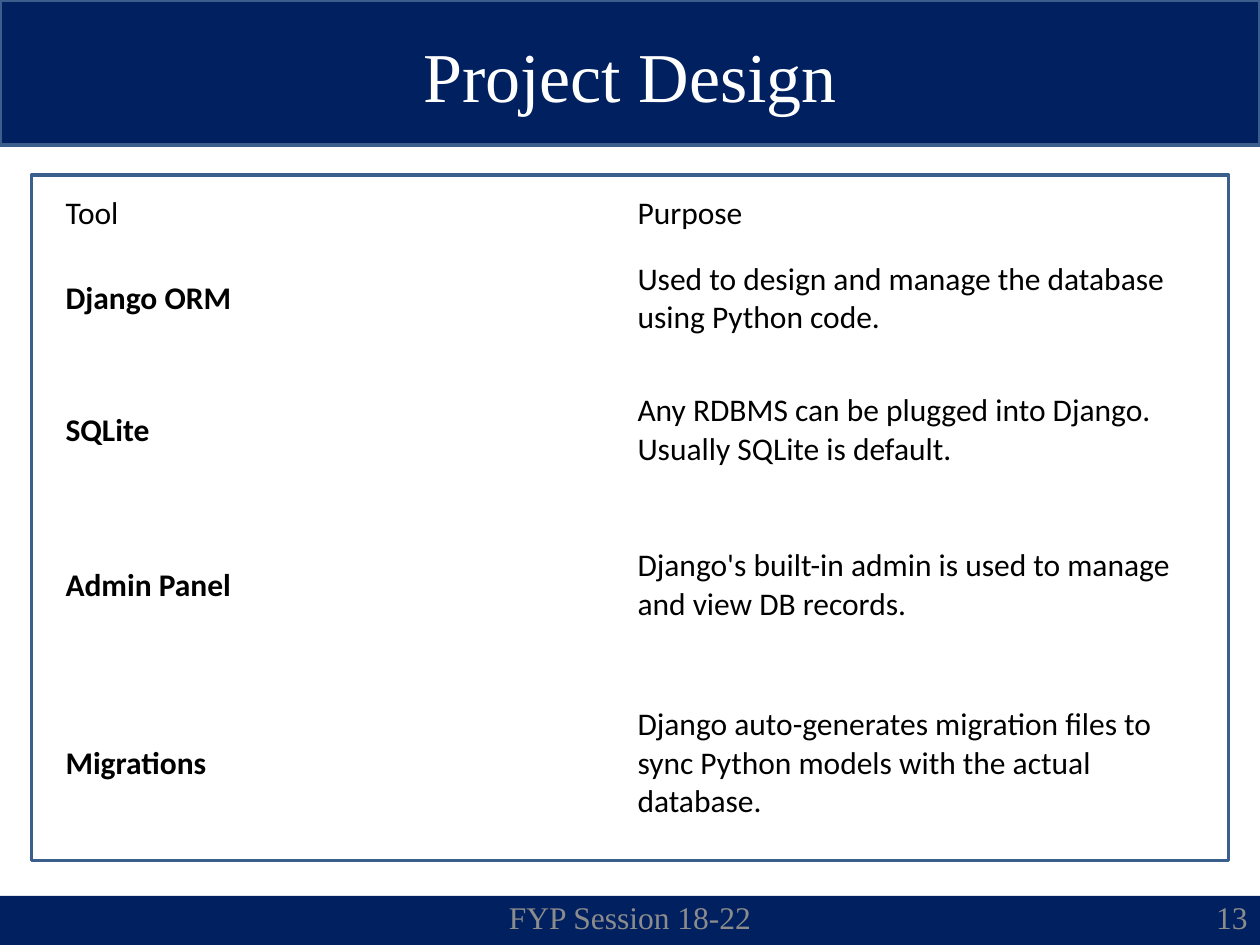
from pptx import Presentation
from pptx.dml.color import RGBColor
from pptx.enum.shapes import MSO_SHAPE
from pptx.enum.text import MSO_ANCHOR, PP_ALIGN
from pptx.util import Inches, Pt

NAVY = RGBColor(0x00, 0x20, 0x60)
STEEL = RGBColor(0x3A, 0x5F, 0x8C)
GRAY = RGBColor(0x8C, 0x8C, 0x8C)
WHITE = RGBColor(0xFF, 0xFF, 0xFF)
BLACK = RGBColor(0x00, 0x00, 0x00)

SERIF = "Times New Roman"
SANS = "Calibri"

TOOLS = [
    ("Tool", "Purpose"),
    ("Django ORM", "Used to design and manage the database using Python code."),
    ("SQLite", "Any RDBMS can be plugged into Django. Usually SQLite is default."),
    ("Admin Panel", "Django's built-in admin is used to manage and view DB records."),
    ("Migrations", "Django auto-generates migration files to sync Python models "
                   "with the actual database."),
]
ROW_HEIGHTS = [0.49, 0.86, 1.23, 1.23, 1.6]
COLUMN_WIDTH = 4.54


def style_paragraph(paragraph, name, size, color, align=PP_ALIGN.LEFT, bold=False):
    paragraph.alignment = align
    font = paragraph.font
    font.name, font.size, font.bold = name, Pt(size), bold
    font.color.rgb = color


def add_rectangle(slide, left, top, width, height, fill=None, line=None):
    shape = slide.shapes.add_shape(
        MSO_SHAPE.RECTANGLE, Inches(left), Inches(top), Inches(width), Inches(height))
    shape.shadow.inherit = False
    if fill is None:
        shape.fill.background()
    else:
        shape.fill.solid()
        shape.fill.fore_color.rgb = fill
    if line is None:
        shape.line.fill.background()
    else:
        shape.line.color.rgb = line
        shape.line.width = Pt(2)


def set_title(slide, text):
    title = slide.shapes.title
    title.left, title.top = Inches(0.69), Inches(0.02)
    title.width, title.height = Inches(8.62), Inches(1.15)
    title.text_frame.text = text
    title.text_frame.vertical_anchor = MSO_ANCHOR.MIDDLE
    style_paragraph(title.text_frame.paragraphs[0], SERIF, 40, WHITE, PP_ALIGN.CENTER)
    # Bring the title in front of the header bar
    title.element.getparent().append(title.element)


def add_footer_text(slide, text, left, width, align):
    box = slide.shapes.add_textbox(Inches(left), Inches(7.08), Inches(width), Inches(0.4))
    frame = box.text_frame
    frame.word_wrap = True
    frame.vertical_anchor = MSO_ANCHOR.MIDDLE
    frame.text = text
    style_paragraph(frame.paragraphs[0], SERIF, 18, GRAY, align)


def add_tool_table(slide):
    table = slide.shapes.add_table(
        len(TOOLS), 2, Inches(0.42), Inches(1.45),
        Inches(2 * COLUMN_WIDTH), Inches(sum(ROW_HEIGHTS))).table
    table.first_row = False
    table.horz_banding = False
    for column in table.columns:
        column.width = Inches(COLUMN_WIDTH)
    for row_index, (row, height, texts) in enumerate(zip(table.rows, ROW_HEIGHTS, TOOLS)):
        row.height = Inches(height)
        for column_index, (cell, text) in enumerate(zip(row.cells, texts)):
            cell.fill.background()
            cell.vertical_anchor = MSO_ANCHOR.MIDDLE
            cell.text = text
            is_tool_name = row_index > 0 and column_index == 0
            style_paragraph(cell.text_frame.paragraphs[0], SANS, 18, BLACK,
                            bold=is_tool_name)


def main():
    presentation = Presentation()
    presentation.slide_width, presentation.slide_height = Inches(10), Inches(7.5)
    slide = presentation.slides.add_slide(presentation.slide_layouts[5])

    # Footer and header bars, with the title
    add_rectangle(slide, 0, 7.11, 10, 0.4, fill=NAVY)
    add_rectangle(slide, 0, 0, 10, 1.15, fill=NAVY, line=STEEL)
    set_title(slide, "Project Design")

    # Footer texts
    add_footer_text(slide, "FYP Session 18-22", 3.31, 3.38, PP_ALIGN.CENTER)
    add_footer_text(slide, "13", 7.75, 2.25, PP_ALIGN.RIGHT)

    # Framed table
    add_tool_table(slide)
    add_rectangle(slide, 0.25, 1.39, 9.5, 5.44, line=STEEL)

    presentation.save("out.pptx")


if __name__ == "__main__":
    main()
